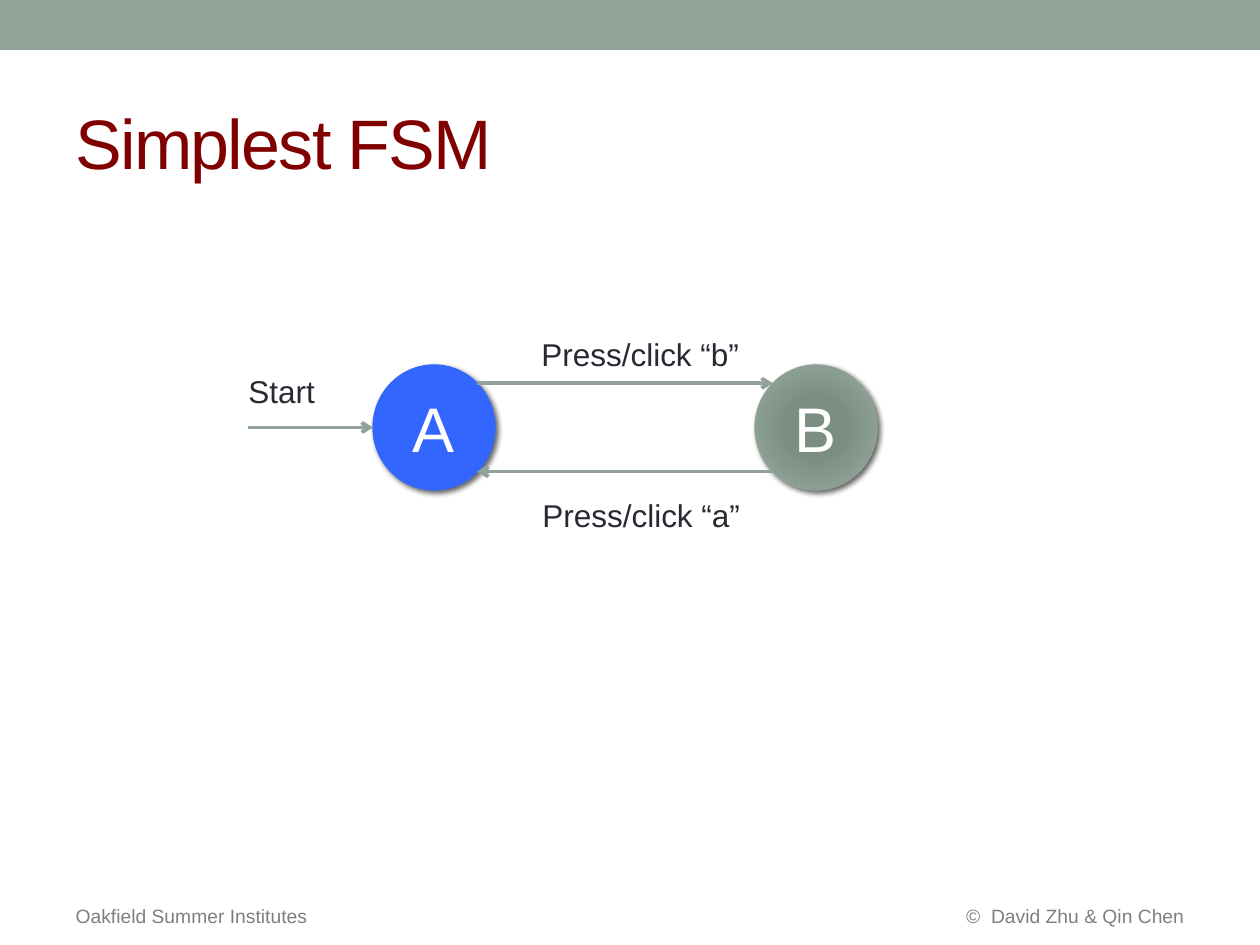
import pptx
import pptx.util
import pptx.dml.color
import pptx.enum.shapes
import pptx.enum.text
import pptx.oxml
import pptx.oxml.ns

SCALE = 914400 / 126
FONT = "Arial"
HEX = {"sage": "93A299", "deep": "7B8E82", "mid": "8A9E92", "blue": "3366FF",
       "red": "800000", "ink": "292934", "gray": "7F7F7F", "white": "FFFFFF",
       "black": "000000"}

TITLE = "Simplest FSM"
FOOT = [("Oakfield Summer Institutes", "LEFT"),
        ("©  David Zhu & Qin Chen", "RIGHT")]
NODES = [("A", 373, "blue"), ("B", 755, "sage")]
TOP, WIDE, HIGH = 365, 122, 125
LABELS = [("Press/click “b”", 529, 329, 226),
          ("Press/click “a”", 530, 490, 226),
          ("Start", 236, 366, 93)]
STOPS = [(0, "deep"), (34, "deep"), (70, "mid"), (100, "sage")]


def px(n):
    return pptx.util.Emu(round(n * SCALE))


def box(*sides):
    return [px(n) for n in sides]


def rgb(name):
    return pptx.dml.color.RGBColor.from_string(HEX[name])


def add_xml(props, body):
    """Append one DrawingML element to shape properties."""
    space = pptx.oxml.ns.nsdecls("a")
    node = pptx.oxml.parse_xml(body.replace(">", f" {space}>", 1))
    props.append(node)
    return node


def write(frame, text, size=18, color="ink", align="LEFT", anchor="TOP",
          wrap=True, track=None):
    frame.word_wrap = wrap
    frame.vertical_anchor = getattr(pptx.enum.text.MSO_ANCHOR, anchor)
    par = frame.paragraphs[0]
    par.alignment = getattr(pptx.enum.text.PP_ALIGN, align)
    run = par.add_run()
    run.text = text
    run.font.size = pptx.util.Pt(size)
    run.font.name = FONT
    run.font.bold = False
    run.font.color.rgb = rgb(color)
    if track is not None:
        run.font._element.set("spc", str(track))


def add_shape(slide, kind, sides, color):
    shape = slide.shapes.add_shape(
        getattr(pptx.enum.shapes.MSO_SHAPE, kind), *box(*sides))
    shape.shadow.inherit = False
    shape.fill.solid()
    shape.fill.fore_color.rgb = rgb(color)
    shape.line.fill.background()
    return shape


def add_node(slide, text, left, color):
    node = add_shape(slide, "OVAL", (left, TOP, WIDE, HIGH), color)
    node.line.color.rgb = rgb(color)
    node.line.width = pptx.util.Pt(0.75)
    effect = node._element.spPr.find(pptx.oxml.ns.qn("a:effectLst"))
    add_xml(effect, '<a:outerShdw blurRad="38100" dist="25400" dir="2700000" '
            f'rotWithShape="0"><a:srgbClr val="{HEX["black"]}">'
            '<a:alpha val="60000"/></a:srgbClr></a:outerShdw>')
    write(node.text_frame, text, size=36, color="white", align="CENTER",
          anchor="MIDDLE")
    return node


def shade(node):
    """Replace the plain fill by a gradient from the centre out."""
    props = node._element.spPr
    stops = "".join(f'<a:gs pos="{pos * 1000}"><a:srgbClr val="{HEX[name]}"/>'
                    "</a:gs>" for pos, name in STOPS)
    grad = add_xml(props, f'<a:gradFill rotWithShape="1"><a:gsLst>{stops}'
                   '</a:gsLst><a:path path="circle"><a:fillToRect l="50000" '
                   't="50000" r="50000" b="50000"/></a:path></a:gradFill>')
    props.replace(props.find(pptx.oxml.ns.qn("a:solidFill")), grad)


def add_arrow(slide, start, end, y):
    arrow = slide.shapes.add_connector(
        pptx.enum.shapes.MSO_CONNECTOR.STRAIGHT, *box(start, y, end, y))
    arrow.line.color.rgb = rgb("sage")
    arrow.line.width = pptx.util.Pt(2.08)
    add_xml(arrow.line._get_or_add_ln(), '<a:tailEnd type="arrow"></a:tailEnd>')
    add_xml(arrow._element.spPr, "<a:effectLst></a:effectLst>")


def add_foot(slide):
    table = slide.shapes.add_table(1, len(FOOT), *box(63, 892, 1134, 48)).table
    table.first_row = table.horz_banding = False
    for cell, (text, align) in zip(table.rows[0].cells, FOOT):
        cell.fill.background()
        cell.margin_left = cell.margin_right = pptx.util.Inches(0.1)
        cell.margin_top = cell.margin_bottom = pptx.util.Inches(0.1)
        write(cell.text_frame, text, size=11, color="gray", align=align)
        cell.vertical_anchor = pptx.enum.text.MSO_ANCHOR.BOTTOM


def main():
    deck = pptx.Presentation()
    deck.slide_width, deck.slide_height = box(1260, 945)
    slide = deck.slides.add_slide(deck.slide_layouts[5])

    add_shape(slide, "RECTANGLE", (0, 0, 1260, 50), "sage")
    add_foot(slide)
    title = slide.shapes.title
    title.left, title.top, title.width, title.height = box(63, 73, 1134, 136)
    write(title.text_frame, TITLE, size=40, color="red", anchor="MIDDLE",
          track=-100)

    nodes = [add_node(slide, *node) for node in NODES]
    shade(nodes[1])

    # Arrows meet the circles on their diagonals.
    cut = (1 - 0.5 ** 0.5) / 2
    first, last = NODES[0][1], NODES[1][1]
    right = first + WIDE * (1 - cut)
    left = last + WIDE * cut
    add_arrow(slide, right, left, TOP + HIGH * cut)
    add_arrow(slide, left, right, TOP + HIGH * (1 - cut))
    add_arrow(slide, 248, first, TOP + HIGH / 2)

    for text, x, y, wide in LABELS:
        label = slide.shapes.add_textbox(*box(x, y, wide, 50))
        write(label.text_frame, text, wrap=False)

    deck.save("out.pptx")


if __name__ == "__main__":
    main()
